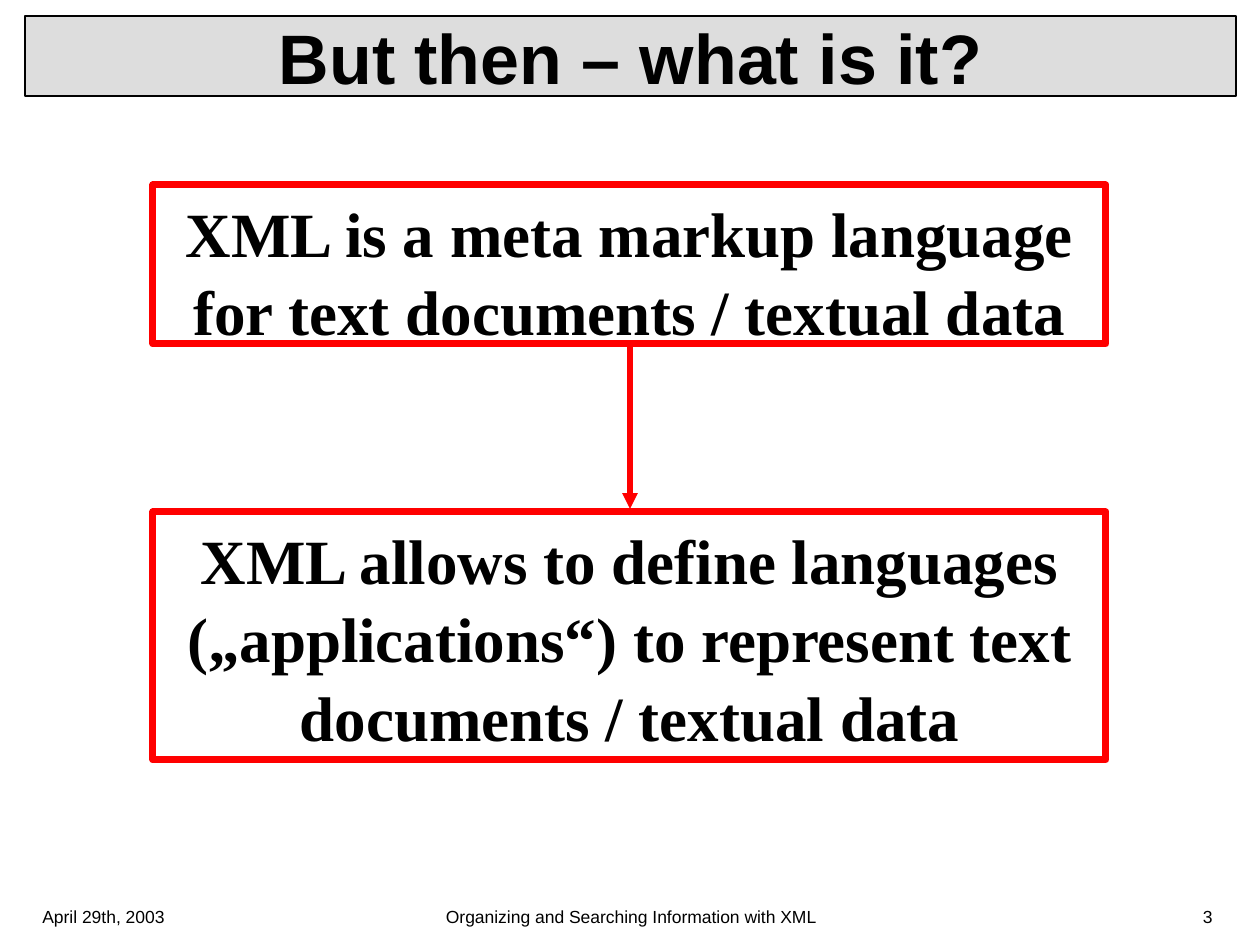
from dataclasses import dataclass
from pptx import Presentation, util as u
from pptx.dml.color import RGBColor as Rgb
from pptx.enum import shapes, text
from pptx.oxml import parse_xml
from pptx.oxml.ns import nsdecls

Al = text.PP_ALIGN


@dataclass
class Theme:
    ink: str = "000000"
    red: str = "FF0000"
    grey: str = "DDDDDD"
    white: str = "FFFFFF"
    sans: str = "Arial"
    serif: str = "Times New Roman"
    head: int = 40
    body: int = 36
    foot: int = 10
    thin: float = 0.75
    frame: int = 4
    arrow: int = 3


theme = Theme()
TITLE = "But then – what is it?"
BOXES = [
    ("XML is a meta markup language for text documents / textual data", 185, 159),
    ("XML allows to define languages („applications“) to represent text "
     "documents / textual data", 512, 248),
]
FEET = [
    ("April 29th, 2003", 30, 262, Al.LEFT),
    ("Organizing and Searching Information with XML", 431, 400, Al.CENTER),
    ("3", 963, 262, Al.RIGHT),
]
WIDE, HIGH = 1260, 945
BOX_W = 953
FOOT_Y, FOOT_H = 900, 45
GAP = 3


def px(n):
    return u.Emu(round(n * 914400 / 126))


def place(shape, *box):
    shape.left, shape.top, shape.width, shape.height = map(px, box)


def write(shape, words, face, size, bold, align, anchor):
    frame = shape.text_frame
    frame.word_wrap = True
    frame.auto_size = text.MSO_AUTO_SIZE.NONE
    frame.vertical_anchor = anchor
    frame.text = words
    par = frame.paragraphs[0]
    par.alignment = align
    font = par.font
    font.name, font.size, font.bold = face, u.Pt(size), bold
    font.color.rgb = Rgb.from_string(theme.ink)
    return par


def stroke(line, color, width):
    line.color.rgb = Rgb.from_string(color)
    line.width = u.Pt(width)


def paint(shape, fill, color, width):
    shape.fill.solid()
    shape.fill.fore_color.rgb = Rgb.from_string(fill)
    stroke(shape.line, color, width)


def add_box(slide, words, top, high):
    box = slide.shapes.add_shape(
        shapes.MSO_SHAPE.RECTANGLE,
        *map(px, ((WIDE - BOX_W) // 2, top, BOX_W, high)))
    box.shadow.inherit = False
    paint(box, theme.white, theme.red, theme.frame)
    par = write(box, words, theme.serif, theme.body, True,
                Al.CENTER, text.MSO_ANCHOR.TOP)
    par.line_spacing = 1.04
    par.space_before = u.Pt(3)


def add_arrow(slide, start, end):
    mid = WIDE // 2
    arrow = slide.shapes.add_connector(
        shapes.MSO_CONNECTOR.STRAIGHT, *map(px, (mid, start, mid, end)))
    stroke(arrow.line, theme.red, theme.arrow)
    arrow.line._get_or_add_ln().append(
        parse_xml(f'<a:tailEnd {nsdecls("a")} type="triangle"/>'))
    arrow._element.spPr.append(parse_xml(f'<a:effectLst {nsdecls("a")}/>'))


def main():
    deck = Presentation()
    deck.slide_width, deck.slide_height = px(WIDE), px(HIGH)
    slide = deck.slides.add_slide(deck.slide_layouts[5])

    for words, left, wide, align in FEET:
        foot = slide.shapes.add_textbox(*map(px, (left, FOOT_Y, wide, FOOT_H)))
        write(foot, words, theme.sans, theme.foot, False,
              align, text.MSO_ANCHOR.TOP)

    title = slide.shapes.title
    place(title, 25, 16, 1211, 80)
    paint(title, theme.grey, theme.ink, theme.thin)
    write(title, TITLE, theme.sans, theme.head, True,
          Al.CENTER, text.MSO_ANCHOR.MIDDLE)

    for box in BOXES:
        add_box(slide, *box)
    (_, top, high), (_, below, _) = BOXES
    add_arrow(slide, top + high + GAP, below - GAP)
    deck.save("out.pptx")


if __name__ == "__main__":
    main()
